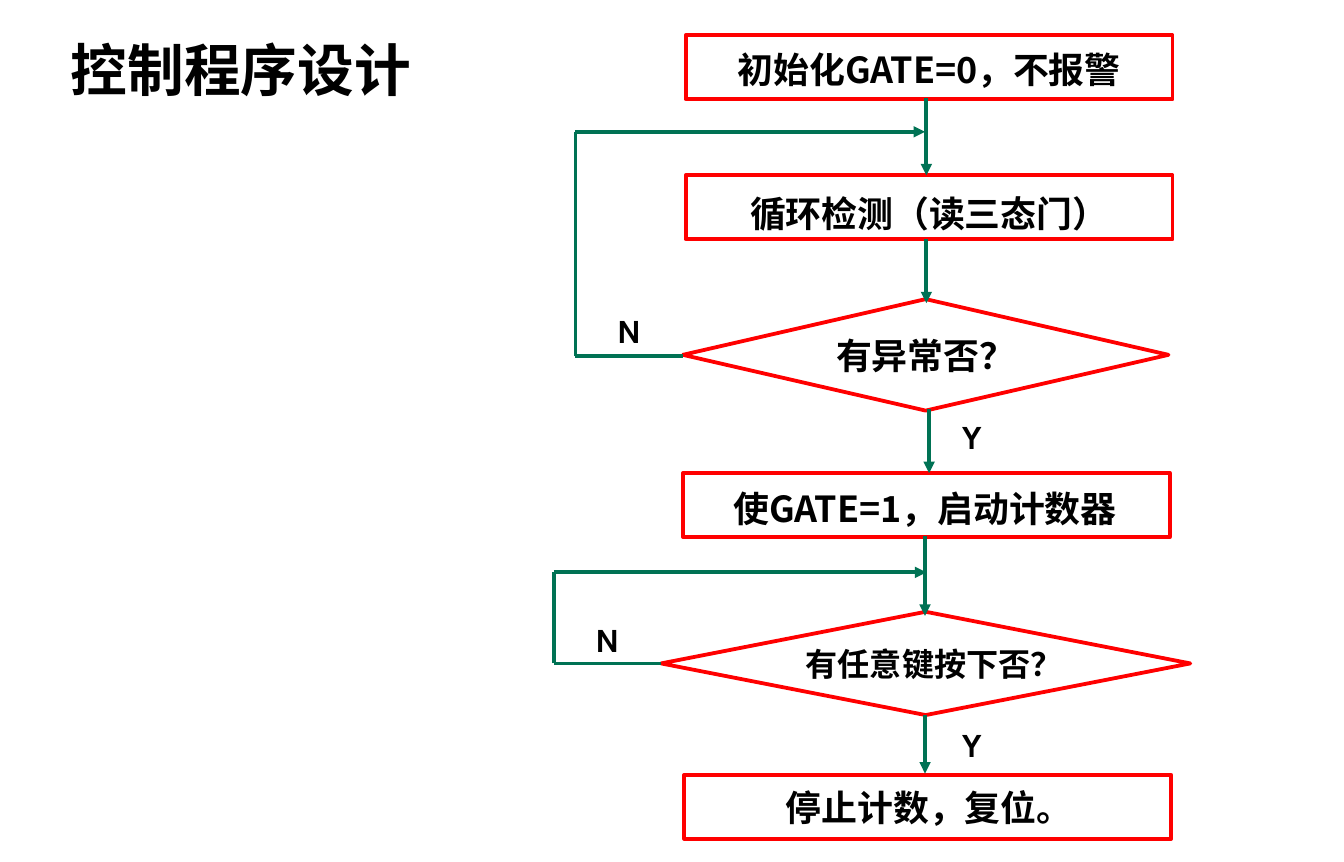
from lxml import etree
from pptx import Presentation
from pptx import util as u
from pptx.dml.color import RGBColor
from pptx.enum import shapes, text
from pptx.oxml.ns import qn

CJK, LATIN = "Noto Sans CJK SC", "Karla"
RED, GREEN, BLACK = "FF0000", "007254", "000000"
BOX_W, BOX_H = 3.58, 0.47
TEXT_H = 0.42

STEPS = [
    (5.04, 0.26, 5.04, 0.3, "初始化GATE=0，不报警"),
    (5.04, 1.29, 5.04, 1.36, "循环检测（读三态门）"),
    (5.02, 3.48, 5.01, 3.53, "使GATE=1，启动计数器"),
    (5.03, 5.7, 5.04, 5.73, "停止计数，复位。"),
]
TESTS = [
    (5.02, 2.2, 3.57, 0.82, "有异常否？", 19, text.PP_ALIGN.CENTER),
    (4.86, 4.5, 3.89, 0.76, "有任意键按下否？", 17, text.PP_ALIGN.LEFT),
]
DOWNS = [(6.81, 0.72, 1.29), (6.81, 1.76, 2.23), (6.83, 3.01, 3.48),
         (6.8, 3.94, 4.53), (6.8, 5.26, 5.69)]
LOOPS = [(5.02, 2.62, 4.23, 0.97, 6.8), (4.86, 4.88, 4.07, 4.21, 6.81)]
LABELS = [(6.91, 3.01, "Y"), (4.39, 2.23, "N"),
          (6.91, 5.27, "Y"), (4.23, 4.5, "N")]


def color(code):
    """Turn a hex string into a colour."""
    return RGBColor.from_string(code)


def apply(item, values):
    """Set every attribute in a dict of format values."""
    for name, value in values.items():
        setattr(item, name, value)


def inches(*sizes):
    """Turn numbers into lengths."""
    return [u.Inches(size) for size in sizes]


def write(shape, words, size, align=text.PP_ALIGN.CENTER, face=CJK,
          anchor=text.MSO_ANCHOR.MIDDLE):
    """Write one bold line of text into a shape."""
    frame = shape.text_frame
    side, edge = inches(0.09, 0.05)
    apply(frame, {"word_wrap": True, "vertical_anchor": anchor,
                  "margin_left": side, "margin_right": side,
                  "margin_top": edge, "margin_bottom": edge})
    para = frame.paragraphs[0]
    apply(para, {"alignment": align, "space_before": u.Pt(0)})
    run = para.add_run()
    run.text = words
    apply(run.font, {"name": face, "size": u.Pt(size), "bold": True})
    run.font.color.rgb = color(BLACK)
    props = run.font._element
    etree.SubElement(props, qn("a:ea")).set("typeface", face)


def label(slide, left, top, width, height, words, size, face=CJK):
    """Add a text box with one centred line."""
    box = slide.shapes.add_textbox(*inches(left, top, width, height))
    write(box, words, size, face=face)


def outline(slide, kind, left, top, width, height):
    """Add an unfilled shape with a red border."""
    shape = slide.shapes.add_shape(kind, *inches(left, top, width, height))
    shape.shadow.inherit = False
    shape.fill.background()
    shape.line.color.rgb = color(RED)
    shape.line.width = u.Pt(2)
    return shape


def link(slide, start, end, arrow=False):
    """Draw a green line, with an arrowhead if asked."""
    line = slide.shapes.add_connector(
        shapes.MSO_CONNECTOR.STRAIGHT, *inches(*start, *end))
    line.line.color.rgb = color(GREEN)
    line.line.width = u.Pt(2)
    props = line._element.spPr
    if arrow:
        tail = etree.SubElement(props.find(qn("a:ln")), qn("a:tailEnd"))
        tail.set("type", "triangle")
    etree.SubElement(props, qn("a:effectLst"))


def loop(slide, start, low, side, high, end):
    """Draw a return path out to the left, up and back."""
    link(slide, (start, low), (side, low))
    link(slide, (side, low), (side, high))
    link(slide, (side, high), (end, high), True)


def head(slide, words):
    """Place and fill the title."""
    title = slide.shapes.title
    left, top, width, height = inches(0.43, 0.17, 3.97, 0.64)
    apply(title, {"left": left, "top": top, "width": width, "height": height})
    write(title, words, 30, text.PP_ALIGN.LEFT,
          anchor=text.MSO_ANCHOR.BOTTOM)


def main():
    """Build the flow chart slide."""
    deck = Presentation()
    deck.slide_width, deck.slide_height = inches(9.88, 6.34)
    slide = deck.slides.add_slide(deck.slide_layouts[5])
    head(slide, "控制程序设计")
    for left, top, text_x, text_y, words in STEPS:
        outline(slide, shapes.MSO_SHAPE.RECTANGLE, left, top, BOX_W, BOX_H)
        label(slide, text_x, text_y, BOX_W, TEXT_H, words, 19)
    for left, top, width, height, words, size, align in TESTS:
        test = outline(slide, shapes.MSO_SHAPE.FLOWCHART_DECISION,
                       left, top, width, height)
        write(test, words, size, align)
    for x, top, end in DOWNS:
        link(slide, (x, top), (x, end), True)
    for path in LOOPS:
        loop(slide, *path)
    for left, top, words in LABELS:
        label(slide, left, top, 0.47, 0.4, words, 18, LATIN)
    deck.save("out.pptx")


if __name__ == "__main__":
    main()
